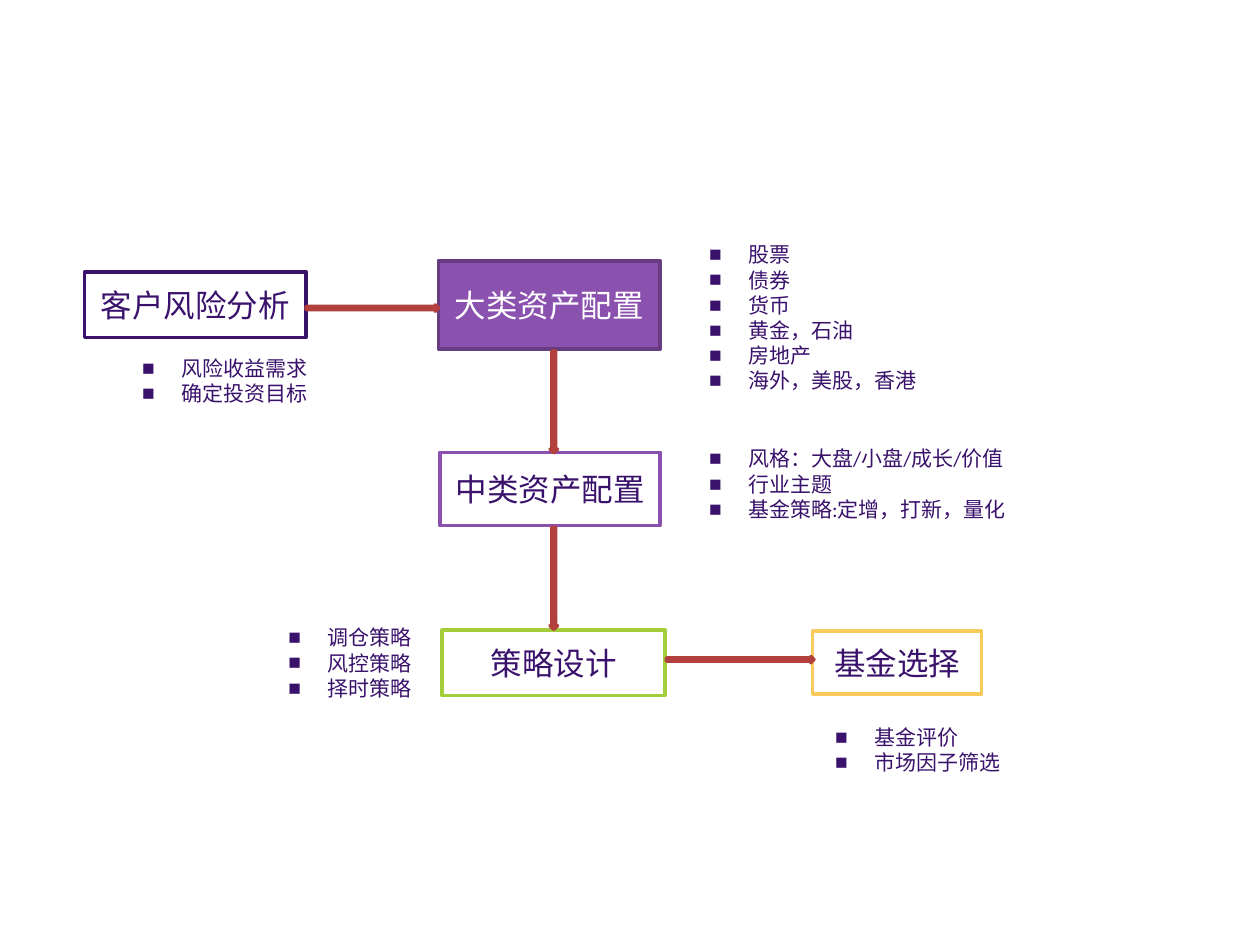
from dataclasses import dataclass

import lxml.etree
import pptx
import pptx.dml.color
import pptx.enum.shapes
import pptx.enum.text
import pptx.oxml.ns
import pptx.util
from pptx.util import Inches


@dataclass(frozen=True)
class Theme:
    font: str = "Calibri"
    box_size: int = 18
    list_size: int = 12
    line_width: int = 2
    ink: str = "3A126C"
    white: str = "FFFFFF"
    purple: str = "8B51AF"
    dark_purple: str = "673C81"
    green: str = "A4CD3B"
    yellow: str = "F7CA5B"
    arrow_fill: str = "F15651"
    arrow_line: str = "B2403C"


THEME = Theme()
SHAPES = pptx.enum.shapes.MSO_SHAPE


def color(value):
    return pptx.dml.color.RGBColor.from_string(value)


def write_text(paragraph, text, *, size, ink=THEME.ink, align=None):
    paragraph.alignment = align
    run = paragraph.add_run()
    run.text = text
    run.font.name = THEME.font
    run.font.size = pptx.util.Pt(size)
    run.font.color.rgb = color(ink)


def add_bullet(paragraph):
    properties = paragraph._p.get_or_add_pPr()
    properties.set("marL", str(Inches(0.31)))
    properties.set("indent", str(-Inches(0.31)))
    for tag, attribute, value in (("a:buFont", "typeface", "Arial"),
                                  ("a:buChar", "char", "■")):
        element = lxml.etree.SubElement(properties, pptx.oxml.ns.qn(tag))
        element.set(attribute, value)


def add_filled_shape(slide, kind, place, fill, line):
    shape = slide.shapes.add_shape(kind, *map(Inches, place))
    shape.shadow.inherit = False
    shape.fill.solid()
    shape.fill.fore_color.rgb = color(fill)
    shape.line.color.rgb = color(line)
    shape.line.width = pptx.util.Pt(THEME.line_width)
    return shape


def add_step(slide, text, place, line, fill=THEME.white, ink=THEME.ink):
    shape = add_filled_shape(slide, SHAPES.RECTANGLE, place, fill, line)
    frame = shape.text_frame
    frame.word_wrap = True
    frame.vertical_anchor = pptx.enum.text.MSO_ANCHOR.MIDDLE
    write_text(frame.paragraphs[0], text, size=THEME.box_size, ink=ink,
               align=pptx.enum.text.PP_ALIGN.CENTER)


def add_arrow(slide, place, rotation=0):
    shape = add_filled_shape(slide, SHAPES.RIGHT_ARROW, place,
                             THEME.arrow_fill, THEME.arrow_line)
    shape.rotation = rotation


def add_list(slide, place, items):
    frame = slide.shapes.add_textbox(*map(Inches, place)).text_frame
    frame.word_wrap = True
    frame.auto_size = pptx.enum.text.MSO_AUTO_SIZE.SHAPE_TO_FIT_TEXT
    for index, item in enumerate(items):
        paragraph = frame.add_paragraph() if index else frame.paragraphs[0]
        write_text(paragraph, item, size=THEME.list_size)
        add_bullet(paragraph)


def main():
    presentation = pptx.Presentation()
    presentation.slide_width = Inches(10)
    presentation.slide_height = Inches(7.5)
    slide = presentation.slides.add_slide(presentation.slide_layouts[6])

    # Steps of the process
    add_step(slide, "客户风险分析", (0.67, 2.16, 1.76, 0.52), THEME.ink)
    add_step(slide, "大类资产配置", (3.48, 2.07, 1.76, 0.7), THEME.dark_purple,
             fill=THEME.purple, ink=THEME.white)
    add_step(slide, "中类资产配置", (3.49, 3.59, 1.75, 0.58), THEME.purple)
    add_step(slide, "策略设计", (3.51, 5, 1.77, 0.52), THEME.green)
    add_step(slide, "基金选择", (6.45, 5.01, 1.34, 0.5), THEME.yellow)

    # Block arrows between the steps
    add_arrow(slide, (2.43, 2.42, 1.05, 0.05))
    for top in (3.16, 4.56):
        add_arrow(slide, (3.99, top, 0.81, 0.06), rotation=90)
    add_arrow(slide, (5.29, 5.21, 1.17, 0.05))

    # Details beside each step
    add_list(slide, (1.03, 2.77, 1.62, 0.5), ["风险收益需求", "确定投资目标"])
    add_list(slide, (5.53, 1.87, 2.05, 1.31),
             ["股票", "债券", "货币", "黄金，石油", "房地产", "海外，美股，香港"])
    add_list(slide, (5.53, 3.49, 2.83, 0.71),
             ["风格：大盘/小盘/成长/价值", "行业主题", "基金策略:定增，打新，量化"])
    add_list(slide, (2.19, 4.91, 1.28, 0.71), ["调仓策略", "风控策略", "择时策略"])
    add_list(slide, (6.53, 5.7, 1.52, 0.5), ["基金评价", "市场因子筛选"])

    presentation.save("out.pptx")


if __name__ == "__main__":
    main()
